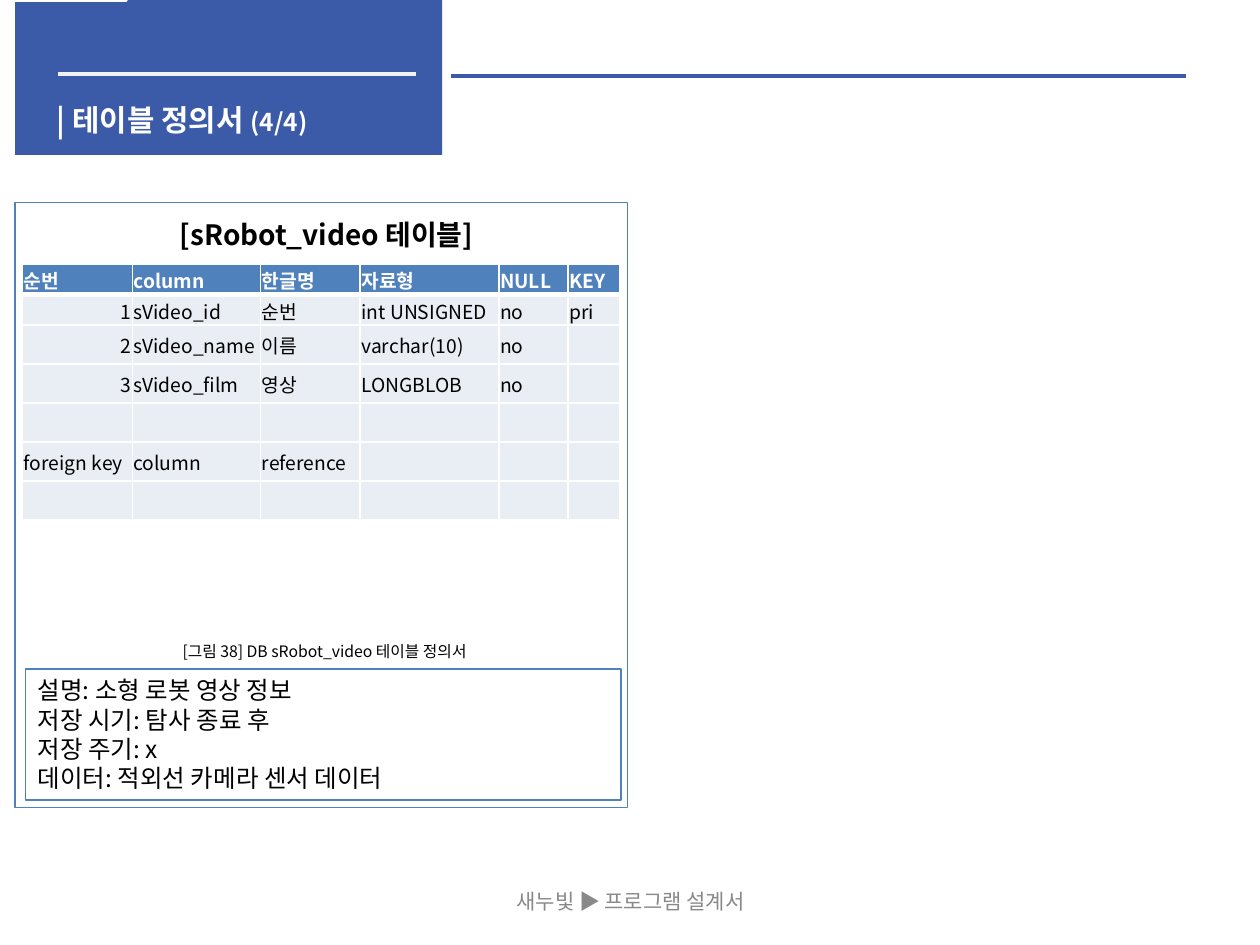
from math import cos, pi, sin

from lxml.etree import SubElement
from pptx import Presentation
from pptx.dml.color import RGBColor
from pptx.enum.shapes import MSO_CONNECTOR as Link, MSO_SHAPE as Shape
from pptx.enum.text import MSO_ANCHOR as Anchor, MSO_AUTO_SIZE as Fit, PP_ALIGN as Align
from pptx.oxml.ns import qn
from pptx.util import Inches, Pt

FONT = "Noto Sans CJK KR"
NAVY, BLUE, PALE, WHITE = "3B5AA8", "4F81BD", "E9EDF4", "FFFFFF"


def color(code):
    return RGBColor.from_string(code)


def write(par, text, size=11, ink="000000", bold=False, align=Align.LEFT):
    par.alignment = align
    run = par.add_run()
    run.text = text
    font = run.font
    font.size, font.bold, font.name = Pt(size), bold, FONT
    font.color.rgb = color(ink)
    SubElement(font._element, qn("a:ea"), typeface=FONT)


def border(cell, side, width):
    line = SubElement(cell._tc.get_or_add_tcPr(), qn(f"a:ln{side}"), w=str(Pt(width)))
    fill = SubElement(line, qn("a:solidFill"))
    SubElement(fill, qn("a:srgbClr"), val=WHITE)


class Deck:
    def __init__(self):
        self.show = Presentation()
        self.show.slide_width, self.show.slide_height = Inches(10), Inches(7.5)
        self.slide = self.show.slides.add_slide(self.show.slide_layouts[5])
        self.shapes = self.slide.shapes

    def frame(self, shape, anchor=Anchor.TOP):
        frame = shape.text_frame
        frame.word_wrap = True
        frame.auto_size = Fit.NONE
        frame.vertical_anchor = anchor
        return frame

    def title(self, area, parts):
        title = self.shapes.title
        title.left, title.top, title.width, title.height = map(Inches, area)
        par = self.frame(title).paragraphs[0]
        for text, size in parts:
            write(par, text, size=size, ink=WHITE, bold=True)
        title.element.getparent().append(title.element)

    def text(self, area, text, anchor=Anchor.TOP, **style):
        box = self.shapes.add_textbox(*map(Inches, area))
        write(self.frame(box, anchor).paragraphs[0], text, **style)

    def rect(self, area, fill=None, line=None):
        rect = self.shapes.add_shape(Shape.RECTANGLE, *map(Inches, area))
        rect.shadow.inherit = False
        if fill:
            rect.fill.solid()
            rect.fill.fore_color.rgb = color(fill)
        else:
            rect.fill.background()
        if line:
            rect.line.color.rgb = color(line)
            rect.line.width = Pt(0.75)
        else:
            rect.line.fill.background()
        return rect

    def notes(self, area, lines):
        frame = self.frame(self.rect(area, line=BLUE))
        for i, text in enumerate(lines):
            par = frame.add_paragraph() if i else frame.paragraphs[0]
            write(par, text, size=14)

    def rule(self, left, right, y, ink):
        rule = self.shapes.add_connector(
            Link.STRAIGHT, Inches(left), Inches(y), Inches(right), Inches(y))
        rule.line.color.rgb = color(ink)
        rule.line.width = Pt(2.25)
        SubElement(rule._element.spPr, qn("a:effectLst"))

    def ring(self, outer, inner, steps=24):
        turns = [pi / 2 * i / steps for i in range(steps + 1)]
        points = [(outer * cos(t), outer * sin(t)) for t in turns]
        points += [(inner * cos(t), inner * sin(t)) for t in reversed(turns)]
        pen = self.shapes.build_freeform(*points[0], scale=Inches(1))
        pen.add_line_segments(points[1:], close=True)
        ring = pen.convert_to_shape()
        ring.shadow.inherit = False
        ring.fill.solid()
        ring.fill.fore_color.rgb = color(WHITE)
        ring.line.color.rgb = color(WHITE)
        ring.line.width = Pt(2)

    def table(self, area, widths, heights, rows):
        grid = self.shapes.add_table(len(rows), len(widths), *map(Inches, area)).table
        for col, width in zip(grid.columns, widths):
            col.width = Inches(width)
        for r, (height, row) in enumerate(zip(heights, rows)):
            grid.rows[r].height = Inches(height)
            for c in range(len(widths)):
                self.cell(grid.cell(r, c), r, row[c] if c < len(row) else "")

    def cell(self, cell, row, text):
        cell.margin_left = cell.margin_right = cell.margin_top = Inches(0.01)
        cell.margin_bottom = 0
        cell.vertical_anchor = Anchor.MIDDLE
        for side in "LRTB":
            thick = (row, side) in ((0, "B"), (1, "T"))
            border(cell, side, 3 if thick else 1)
        cell.fill.solid()
        cell.fill.fore_color.rgb = color(PALE if row else BLUE)
        par = cell.text_frame.paragraphs[0]
        if text:
            write(par, text, ink="000000" if row else WHITE, bold=not row,
                  align=Align.RIGHT if text.isdigit() else Align.LEFT)
        else:
            par.font.size = Pt(11)


def main():
    deck = Deck()
    deck.rect((0.12, 0, 3.39, 1.23), fill=NAVY)
    deck.rule(0.46, 3.3, 0.59, "F2F2F2")
    deck.rule(3.58, 9.41, 0.6, NAVY)
    deck.title((0.35, 0.76, 3.15, 0.32), [("| 테이블 정의서 ", 17), ("(4/4)", 14)])
    deck.ring(0.65, 0.33)
    deck.text((3.42, 6.95, 3.17, 0.4), "새누빛 ▶ 프로그램 설계서", anchor=Anchor.MIDDLE,
              size=12, ink="898989", align=Align.CENTER)
    deck.rect((0.12, 1.61, 4.86, 4.8), line=BLUE)
    deck.notes((0.2, 5.31, 4.73, 1.04), [
        "설명: 소형 로봇 영상 정보",
        "저장 시기: 탐사 종료 후",
        "저장 주기: x",
        "데이터: 적외선 카메라 센서 데이터",
    ])
    deck.text((1.33, 1.68, 4.51, 0.37), "[sRobot_video 테이블]", size=16, bold=True)
    deck.table(
        (0.18, 2.1, 4.74, 2.02),
        [0.87, 1.02, 0.79, 1.1, 0.55, 0.41],
        [0.24] * 2 + [0.31] * 5,
        [
            ["순번", "column", "한글명", "자료형", "NULL", "KEY"],
            ["1", "sVideo_id", "순번", "int UNSIGNED", "no", "pri"],
            ["2", "sVideo_name", "이름", "varchar(10)", "no"],
            ["3", "sVideo_film", "영상", "LONGBLOB", "no"],
            [],
            ["foreign key", "column", "reference"],
            [],
        ],
    )
    deck.text((0.97, 5.04, 3.21, 0.25), "[그림 38] DB sRobot_video 테이블 정의서",
              size=9, align=Align.CENTER)
    deck.show.save("out.pptx")


if __name__ == "__main__":
    main()
